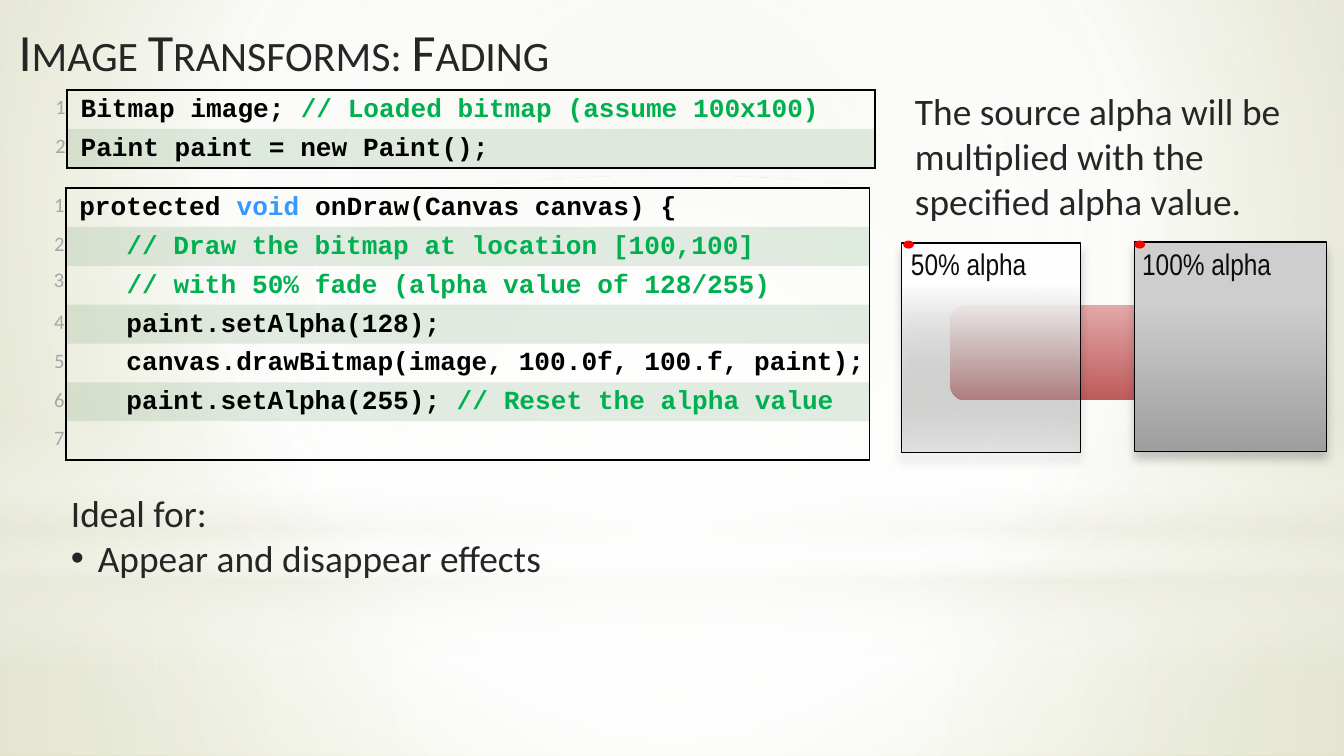
from lxml import etree
from pptx import Presentation, util as u
from pptx.dml.color import RGBColor
from pptx.enum import shapes, text
from pptx.oxml import ns, parse_xml

NAMESPACE = ns.nsdecls("a")
COLUMN = u.Inches(0.1)  # 100 columns across
ROW = u.Inches(0.1)  # 56.25 rows down
color = RGBColor.from_string


def paint_gradient(fill, element, stops, angle=90, focus=None):
    """Fill with (position, colour, opacity) stops, along an angle or around a focus."""
    fill.solid()
    stop_xml = "".join(
        f'<a:gs pos="{position * 1000}"><a:srgbClr val="{value}">'
        f'<a:alpha val="{opacity * 1000}"/></a:srgbClr></a:gs>'
        for position, value, opacity in stops)
    if focus:
        sides = " ".join(f'{side}="{share * 1000}"' for side, share in zip("ltrb", focus))
        direction = f'<a:path path="circle"><a:fillToRect {sides}/></a:path>'
    else:
        direction = f'<a:lin ang="{angle * 60000}" scaled="0"/>'
    gradient = parse_xml(f'<a:gradFill {NAMESPACE} rotWithShape="1">'
                         f'<a:gsLst>{stop_xml}</a:gsLst>{direction}</a:gradFill>')
    solid = next(element.iter(ns.qn("a:solidFill")))
    solid.getparent().replace(solid, gradient)


def write(paragraph, runs, size, font="Calibri", bold=False):
    """Add (text, colour) runs in one font and size."""
    for words, value in runs:
        run = paragraph.add_run()
        run.text = words
        run.font.size, run.font.name, run.font.bold = u.Pt(size), font, bold
        run.font.color.rgb = color(value)
    paragraph._p.get_or_add_endParaRPr().set("sz", str(size * 100))


presentation = Presentation()
presentation.slide_width = 100 * COLUMN
presentation.slide_height = int(56.25 * ROW)
slide = presentation.slides.add_slide(presentation.slide_layouts[6])

# Backdrop
WHITE, CREAM, CENTRE = "FFFFFF", "EAEBDE", (50, 50, 50, 50)
paint_gradient(slide.background.fill, slide._element,
               [(0, "E3E5D1", 100), (60, WHITE, 100), (100, "CCD09F", 100)],
               focus=(20, 10, 20, 60))
RECTANGLE = shapes.MSO_SHAPE.RECTANGLE
OVAL = shapes.MSO_SHAPE.OVAL
backdrop = [
    (RECTANGLE, 41.9, 14.35, CENTRE, [(0, WHITE, 91), (37, WHITE, 76), (100, CREAM, 79)]),
    (RECTANGLE, 0, 41.9, CENTRE, [(0, WHITE, 89), (48, WHITE, 62), (100, CREAM, 79)]),
    (RECTANGLE, 30.9, 18.8, None, [(0, WHITE, 0), (29, WHITE, 30), (45, CREAM, 40),
                                   (55, WHITE, 26), (65, CREAM, 60), (100, WHITE, 0)]),
    (OVAL, 13.1, 41.9, CENTRE, [(0, WHITE, 100), (56, WHITE, 0)]),
]
for kind, top, height, focus, stops in backdrop:
    layer = slide.shapes.add_shape(kind, 0, int(top * ROW), 100 * COLUMN, int(height * ROW))
    layer.shadow.inherit = False
    layer.line.fill.background()
    paint_gradient(layer.fill, layer._element, stops, focus=focus)

# Fading panels over a red bar
bar = slide.shapes.add_shape(shapes.MSO_SHAPE.ROUNDED_RECTANGLE, int(70.7 * COLUMN),
                             int(22.7 * ROW), int(24.4 * COLUMN), int(7.1 * ROW))
bar.shadow.inherit = False
bar.line.fill.background()
paint_gradient(bar.fill, bar._element, [(0, "E3A7A7", 100), (100, "BE5B5B", 100)])

panels = [
    (67.1, 18.1, 13.3, 67.2, [(20, WHITE, 100), (100, "979797", 17)]),
    (84.4, 18, 14.3, 84.4, [(28, "CECECE", 100), (100, "9F9F9F", 100)]),
]
for left, top, width, dot_left, stops in panels:
    panel = slide.shapes.add_shape(RECTANGLE, int(left * COLUMN), int(top * ROW),
                                   int(width * COLUMN), int(15.6 * ROW))
    panel.line.color.rgb = color("000000")
    panel.line.width = u.Pt(0.75)
    paint_gradient(panel.fill, panel._element, stops)
    panel._element.spPr.append(parse_xml(
        f'<a:effectLst {NAMESPACE}><a:outerShdw blurRad="{u.Pt(5)}" dist="{u.Pt(4)}" '
        'dir="5400000" rotWithShape="0"><a:srgbClr val="000000"><a:alpha val="20000"/>'
        '</a:srgbClr></a:outerShdw></a:effectLst>'))
    dot = slide.shapes.add_shape(OVAL, int(dot_left * COLUMN), int(17.9 * ROW),
                                 int(0.8 * COLUMN), int(0.6 * ROW))
    dot.shadow.inherit = False
    dot.fill.solid()
    dot.fill.fore_color.rgb = color("FF0000")
    dot.line.fill.background()

# Text boxes: place, anchor, size, font, colour, lines
MIDDLE, TOP = text.MSO_ANCHOR.MIDDLE, text.MSO_ANCHOR.TOP
INK, LABEL = "262626", "0D0D0D"
TITLE = "Image Transforms: Fading"
BULLET = "Appear and disappear effects"
text_boxes = [
    (0.4, 0.6, 67.7, 6.3, MIDDLE, 28, "Calibri", INK, [TITLE]),
    (66.8, 17.8, 15, 3.7, MIDDLE, 16, "Arial Narrow", LABEL, ["50% alpha"]),
    (84, 17.8, 14.6, 3.7, MIDDLE, 16, "Arial Narrow", LABEL, ["100% alpha"]),
    (67.1, 6.1, 32.3, 11.1, TOP, 20, "Calibri", INK,
     ["The source alpha will be multiplied with the specified alpha value."]),
    (4.3, 36, 39.4, 7.7, TOP, 20, "Calibri", INK, ["Ideal for:", BULLET]),
]
for left, top, width, height, anchor, size, font, ink, lines in text_boxes:
    box = slide.shapes.add_textbox(int(left * COLUMN), int(top * ROW),
                                   int(width * COLUMN), int(height * ROW))
    frame = box.text_frame
    frame.word_wrap = True
    frame.vertical_anchor = anchor
    for index, line in enumerate(lines):
        paragraph = frame.add_paragraph() if index else frame.paragraphs[0]
        if line == BULLET:
            properties = paragraph._p.get_or_add_pPr()
            properties.set("marL", str(2 * COLUMN))
            properties.set("indent", str(-2 * COLUMN))
            etree.SubElement(properties, ns.qn("a:buFont"), typeface="Arial")
            etree.SubElement(properties, ns.qn("a:buChar"), char="•")
        write(paragraph, [(line, ink)], size, font)
        if line == TITLE:
            paragraph.runs[0].font._element.set("cap", "small")

# Code listings
BLACK, GREEN, BLUE, GRAY = "000000", "00B050", "3399FF", "A6A6A6"
draw_code = [
    [("protected ", BLACK), ("void ", BLUE), ("onDraw(Canvas canvas) {", BLACK)],
    [("   // Draw the bitmap at location [100,100]", GREEN)],
    [("   ", BLACK), ("// with 50% fade (alpha value of 128/255)", GREEN)],
    [("   paint.setAlpha(128);", BLACK)],
    [("   canvas.drawBitmap(image, 100.0f, 100.f, paint);", BLACK)],
    [("   paint.setAlpha(255); ", BLACK), ("// Reset the alpha value", GREEN)],
    [],
]
setup_code = [
    [("Bitmap image; ", BLACK), ("// Loaded bitmap (assume 100x100)", GREEN)],
    [("Paint paint = new Paint();", BLACK)],
]
listings = [(-0.6, 14, (5.5, 59.8), draw_code), (-0.2, 6.7, (5.2, 60.1), setup_code)]
for left, top, widths, code in listings:
    frame = slide.shapes.add_table(len(code), 2, int(left * COLUMN), int(top * ROW),
                                   int(sum(widths) * COLUMN), int(2.89 * ROW * len(code)))
    table = frame.table
    table.first_row = table.horz_banding = False
    table._tbl.tblPr.find(ns.qn("a:tableStyleId")).text = "{2D5ABB26-0587-4C30-8999-92F81FD0307C}"
    for column, width in zip(table.columns, widths):
        column.width = int(width * COLUMN)
    for index, runs in enumerate(code):
        table.rows[index].height = int(2.89 * ROW)
        number, line = table.cell(index, 0), table.cell(index, 1)
        sides = "LR" + "T" * (index == 0) + "B" * (index == len(code) - 1)
        for cell, borders in ((number, "R"), (line, sides)):
            cell.margin_left = cell.margin_right = u.Inches(0.01)
            cell.margin_top = cell.margin_bottom = u.Inches(0.01)
            for side in borders:
                cell._tc.get_or_add_tcPr().append(parse_xml(
                    f'<a:ln{side} {NAMESPACE} w="{u.Pt(1)}"><a:solidFill>'
                    f'<a:srgbClr val="{BLACK}"/></a:solidFill></a:ln{side}>'))
            cell.fill.background()
            cell.text_frame.paragraphs[0].line_spacing = 1.15
        if index % 2:
            line.fill.solid()
            line.fill.fore_color.rgb = color("72A376")
            tint = line._tc.tcPr.find(ns.qn("a:solidFill"))[0]
            etree.SubElement(tint, ns.qn("a:alpha"), val="20000")
        label = number.text_frame.paragraphs[0]
        label.alignment = text.PP_ALIGN.RIGHT
        size, font = (10, "Roboto") if index == 2 else (11, "Calibri")
        write(label, [(str(index + 1), GRAY)], size, font)
        statement = line.text_frame.paragraphs[0]
        statement._p.get_or_add_pPr().set("marL", str(u.Inches(0.09)))
        write(statement, runs, 14, "Courier New", True)

presentation.save("out.pptx")
